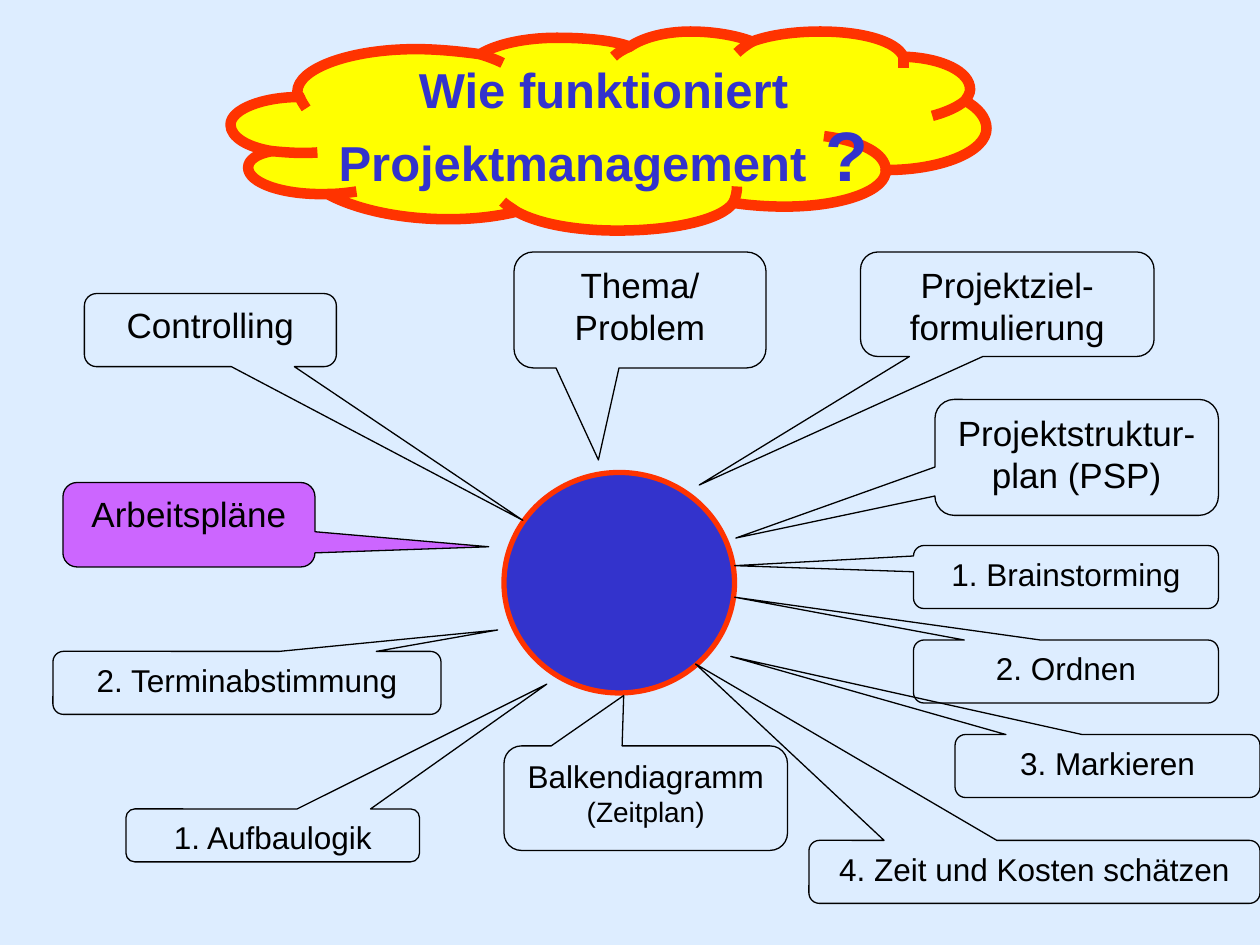
from lxml.etree import SubElement
from pptx import Presentation
from pptx.dml.color import RGBColor
from pptx.enum.shapes import MSO_SHAPE as Preset
from pptx.enum.text import MSO_ANCHOR as Anchor, MSO_AUTO_SIZE as AutoSize, PP_ALIGN as Align
from pptx.oxml.ns import qn
from pptx.util import Inches, Pt

PALE_BLUE = RGBColor(0xDD, 0xED, 0xFF)
YELLOW = RGBColor(0xFF, 0xFF, 0x00)
RED = RGBColor(0xFF, 0x33, 0x00)
BLUE = RGBColor(0x33, 0x33, 0xCC)
PURPLE = RGBColor(0xCC, 0x66, 0xFF)
BLACK = RGBColor(0, 0, 0)
FONT = "Arial"

# Curves are two control points and an end point, in slide inches.
CLOUD_BOX = (1.83, 0.25, 6, 1.58)
CLOUD_START = (2.38, 0.77)
CLOUD_CURVES = [
    [(2.08, 0.77), (1.83, 0.87), (1.83, 0.99)],
    [(1.83, 1.09), (1.97, 1.17), (2.16, 1.2)],
    [(2.04, 1.22), (1.97, 1.27), (1.97, 1.33)],
    [(1.97, 1.45), (2.24, 1.55), (2.6, 1.54)],
    [(2.82, 1.66), (3.17, 1.74), (3.56, 1.74)],
    [(3.75, 1.74), (3.94, 1.72), (4.1, 1.68)],
    [(4.28, 1.78), (4.58, 1.83), (4.9, 1.83)],
    [(5.36, 1.83), (5.73, 1.74), (5.82, 1.61)],
    [(5.95, 1.63), (6.09, 1.64), (6.23, 1.64)],
    [(6.69, 1.64), (7.04, 1.51), (7.03, 1.35)],
    [(7.48, 1.35), (7.83, 1.2), (7.83, 1.02)],
    [(7.83, 0.94), (7.77, 0.86), (7.66, 0.8)],
    [(7.68, 0.77), (7.7, 0.74), (7.7, 0.71)],
    [(7.7, 0.57), (7.48, 0.46), (7.17, 0.45)],
    [(7.12, 0.33), (6.85, 0.25), (6.51, 0.25)],
    [(6.3, 0.25), (6.1, 0.28), (5.97, 0.33)],
    [(5.84, 0.28), (5.66, 0.25), (5.48, 0.25)],
    [(5.28, 0.25), (5.1, 0.3), (5, 0.37)],
    [(4.86, 0.32), (4.65, 0.3), (4.42, 0.3)],
    [(4.17, 0.3), (3.94, 0.35), (3.81, 0.43)],
    [(3.66, 0.41), (3.48, 0.39), (3.3, 0.39)],
    [(2.79, 0.39), (2.36, 0.54), (2.36, 0.73)],
    [(2.36, 0.74), (2.37, 0.76), (2.38, 0.77)],
]
CLOUD_FOLDS = [
    ((2.16, 1.2), [(2.27, 1.21), (2.39, 1.22), (2.52, 1.21)]),
    ((2.6, 1.54), [(2.68, 1.54), (2.76, 1.53), (2.83, 1.52)]),
    ((4.1, 1.68), [(4.06, 1.65), (4.02, 1.63), (3.99, 1.6)]),
    ((5.82, 1.61), [(5.84, 1.57), (5.85, 1.52), (5.85, 1.48)]),
    ((7.03, 1.35), [(7.03, 1.22), (6.84, 1.12), (6.54, 1.08)]),
    ((7.66, 0.8), [(7.6, 0.85), (7.51, 0.89), (7.4, 0.92)]),
    ((7.17, 0.45), [(7.17, 0.48), (7.17, 0.51), (7.17, 0.54)]),
    ((5.97, 0.33), [(5.92, 0.36), (5.88, 0.39), (5.85, 0.42)]),
    ((5, 0.37), [(4.95, 0.39), (4.9, 0.42), (4.87, 0.45)]),
    ((3.81, 0.43), [(3.87, 0.45), (3.93, 0.47), (3.99, 0.5)]),
    ((2.38, 0.77), [(2.39, 0.8), (2.41, 0.83), (2.43, 0.86)]),
]

# Box (left, top, width, height), tip of the tail, lines of (text, size), fill
CALLOUTS = [
    ((4.08, 2, 2, 0.92), (4.75, 3.65), [("Thema/", 20), ("Problem", 20)], None),
    ((4, 5.92, 2.25, 0.83), (4.95, 5.52), [("Balkendiagramm", 18), ("(Zeitplan)", 16)], None),
    ((6.83, 2, 2.33, 0.83), (5.55, 3.85), [("Projektziel-formulierung", 20)], None),
    ((0.42, 5.17, 3.08, 0.5), (3.95, 5), [("2. Terminabstimmung", 18)], None),
    ((0.5, 3.83, 2, 0.67), (3.88, 4.34), [("Arbeitspläne", 20)], PURPLE),
    ((7.42, 3.17, 2.25, 0.92), (5.84, 4.27), [("Projektstruktur-plan (PSP)", 20)], None),
    ((1, 6.42, 2.33, 0.42), (4.34, 5.43), [("1. Aufbaulogik", 18)], None),
    ((0.67, 2.33, 2, 0.58), (4.15, 4.13), [("Controlling", 20)], None),
    ((7.25, 5.08, 2.42, 0.5), (5.83, 4.74), [("2. Ordnen", 18)], None),
    ((6.42, 6.67, 3.58, 0.5), (5.52, 5.27), [("4. Zeit und Kosten schätzen", 18)], None),
    ((7.58, 5.83, 2.42, 0.5), (5.8, 5.21), [("3. Markieren", 18)], None),
    ((7.25, 4.33, 2.42, 0.5), (5.83, 4.49), [("1. Brainstorming", 18)], None),
]


def style_shape(shape, fill, line, width):
    shape.shadow.inherit = False
    if fill is None:
        shape.fill.background()
    else:
        shape.fill.solid()
        shape.fill.fore_color.rgb = fill
    shape.line.color.rgb = line
    shape.line.width = Pt(width)


def add_run(paragraph, text, size, color, bold=False):
    run = paragraph.add_run()
    run.text = text
    run.font.name = FONT
    run.font.size = Pt(size)
    run.font.bold = bold
    run.font.color.rgb = color


def add_curved_outline(outlines, start, curves, closed):
    """Append a curved outline; an open one is stroked without a fill."""
    left, top, width, height = CLOUD_BOX
    outline = SubElement(outlines, qn("a:path"), w=str(Inches(width)), h=str(Inches(height)))
    if not closed:
        outline.set("fill", "none")
    steps = [("a:moveTo", [start])] + [("a:cubicBezTo", curve) for curve in curves]
    for tag, points in steps:
        step = SubElement(outline, qn(tag))
        for x, y in points:
            SubElement(step, qn("a:pt"), x=str(Inches(x - left)), y=str(Inches(y - top)))
    if closed:
        SubElement(outline, qn("a:close"))


def add_cloud(slide):
    left, top, width, height = (Inches(value) for value in CLOUD_BOX)
    builder = slide.shapes.build_freeform(left, top)
    builder.add_line_segments([(left + width, top + height)])
    cloud = builder.convert_to_shape()
    outlines = cloud.element.xpath(".//a:pathLst")[0]
    outlines.clear()
    add_curved_outline(outlines, CLOUD_START, CLOUD_CURVES, True)
    for start, curve in CLOUD_FOLDS:
        add_curved_outline(outlines, start, [curve], False)
    style_shape(cloud, YELLOW, RED, 6)


def add_title(slide):
    box = slide.shapes.add_textbox(Inches(1), Inches(0.42), Inches(7.58), Inches(1.12))
    frame = box.text_frame
    frame.word_wrap = True
    frame.auto_size = AutoSize.SHAPE_TO_FIT_TEXT
    first, second = frame.paragraphs[0], frame.add_paragraph()
    first.alignment = second.alignment = Align.CENTER
    first.space_before = Pt(17.5)
    second.space_before = Pt(25)
    second.line_spacing = 0.3
    add_run(first, "Wie funktioniert", 28, BLUE, True)
    add_run(second, "Projektmanagement", 28, BLUE, True)
    add_run(second, " ?", 40, BLUE, True)


def add_hub(slide):
    hub = slide.shapes.add_shape(
        Preset.OVAL, Inches(4), Inches(3.75), Inches(1.83), Inches(1.75))
    style_shape(hub, BLUE, RED, 3)


def add_callout(slide, box, tip, lines, fill):
    left, top, width, height = box
    shape = slide.shapes.add_shape(
        Preset.ROUNDED_RECTANGULAR_CALLOUT, *(Inches(value) for value in box))
    shape.adjustments[0] = (tip[0] - left) / width - 0.5
    shape.adjustments[1] = (tip[1] - top) / height - 0.5
    style_shape(shape, fill, BLACK, 0.75)
    frame = shape.text_frame
    frame.word_wrap = True
    frame.vertical_anchor = Anchor.TOP
    for index, (text, size) in enumerate(lines):
        paragraph = frame.add_paragraph() if index else frame.paragraphs[0]
        paragraph.alignment = Align.CENTER
        add_run(paragraph, text, size, BLACK)


def main():
    presentation = Presentation()
    presentation.slide_width = Inches(10)
    presentation.slide_height = Inches(7.5)
    slide = presentation.slides.add_slide(presentation.slide_layouts[6])
    slide.background.fill.solid()
    slide.background.fill.fore_color.rgb = PALE_BLUE
    add_cloud(slide)
    add_title(slide)
    add_hub(slide)
    for callout in CALLOUTS:
        add_callout(slide, *callout)
    presentation.save("out.pptx")


if __name__ == "__main__":
    main()
